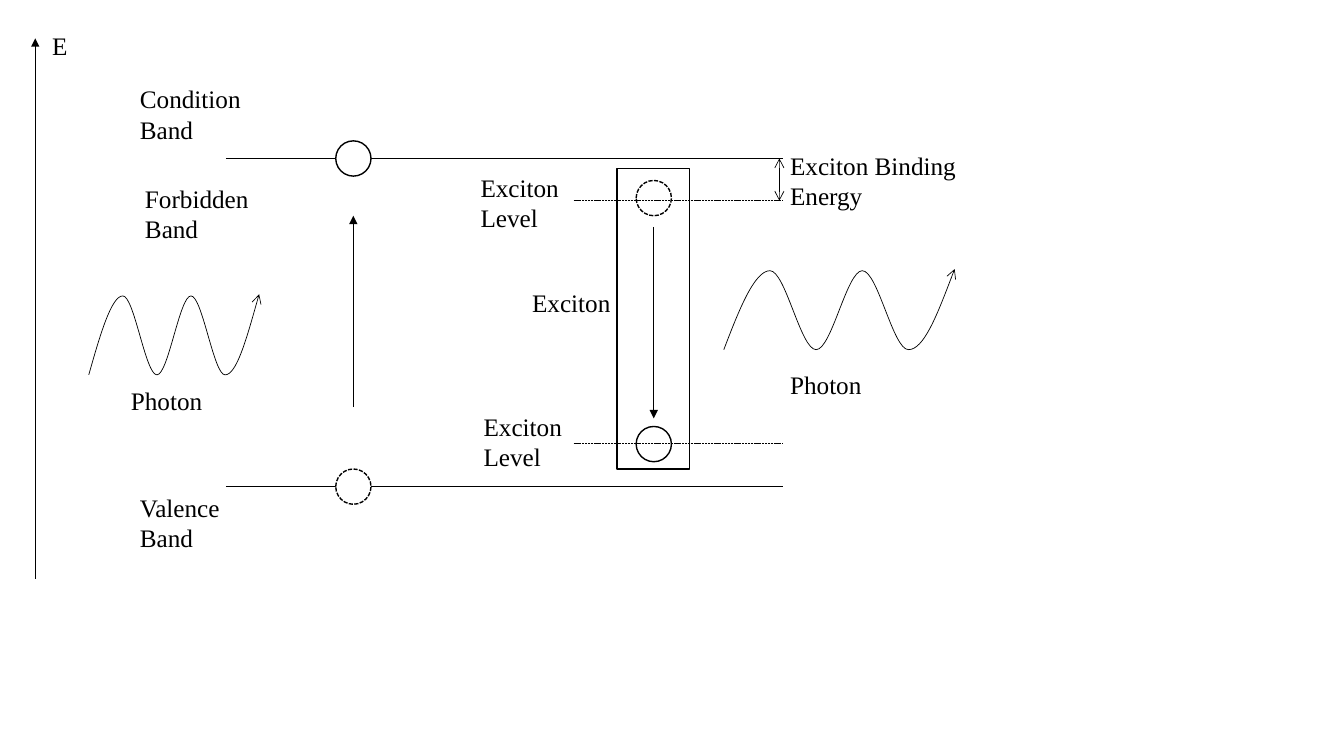
from lxml import etree
from pptx import Presentation
from pptx.dml.color import RGBColor
from pptx.enum.dml import MSO_LINE
from pptx.enum.shapes import MSO_CONNECTOR, MSO_SHAPE
from pptx.enum.text import MSO_AUTO_SIZE
from pptx.oxml.ns import qn
from pptx.util import Pt

STRAIGHT = MSO_CONNECTOR.STRAIGHT
OVAL, RECT = MSO_SHAPE.OVAL, MSO_SHAPE.RECTANGLE
DASH = MSO_LINE.SQUARE_DOT
FIT = MSO_AUTO_SIZE.SHAPE_TO_FIT_TEXT
BLACK = RGBColor(0, 0, 0)
WHITE = RGBColor(255, 255, 255)

BAND_LEFT, LEVEL_LEFT, RIGHT = 161.3, 409.7, 559.4
CONDUCTION_Y, VALENCE_Y = 113.2, 347.6
UPPER_Y, LOWER_Y = 143.3, 316.8
ELECTRON_X, EXCITON_X = 252.4, 467


def write(tf, text, size=18, font="Times New Roman", color=BLACK):
    r = tf.paragraphs[0].add_run()
    r.text = text
    r.font.size = Pt(size)
    r.font.name = font
    r.font.color.rgb = color


class Diagram:
    thin, thick, diameter = 0.5, 1, 25.2

    def __init__(self, slide):
        self.s = slide

    def stroke(self, sp, width, dashed=False, head=None, tail=None):
        sp.line.color.rgb = BLACK
        sp.line.width = Pt(width)
        if dashed:
            sp.line.dash_style = DASH
        ln = sp.line._get_or_add_ln()
        for tag, kind in (("a:headEnd", head), ("a:tailEnd", tail)):
            if kind:
                etree.SubElement(ln, qn(tag), type=kind)

    def line(self, x1, y1, x2, y2, **style):
        c = self.s.shapes.add_connector(STRAIGHT, Pt(x1), Pt(y1), Pt(x2), Pt(y2))
        self.stroke(c, self.thin, **style)
        etree.SubElement(c._element.spPr, qn("a:effectLst"))

    def shape(self, kind, x, y, w, h, fill=None, dashed=False):
        sp = self.s.shapes.add_shape(kind, Pt(x), Pt(y), Pt(w), Pt(h))
        sp.shadow.inherit = False
        if fill is None:
            sp.fill.background()
        else:
            sp.fill.solid()
            sp.fill.fore_color.rgb = fill
        self.stroke(sp, self.thick, dashed)

    def particle(self, cx, cy, dashed=False):
        d = self.diameter
        self.shape(OVAL, cx - d / 2, cy - d / 2, d, d, WHITE, dashed)

    def label(self, text, x, y, w=100, h=51):
        tb = self.s.shapes.add_textbox(Pt(x), Pt(y), Pt(w), Pt(h))
        tf = tb.text_frame
        tf.word_wrap = True
        tf.auto_size = FIT
        write(tf, text)

    def wave(self, x, y, w, h):
        top, mid, low = y + 1.2, y + h / 2, y + h
        heights = [mid, top, top, top, low, low, low, top, top, top, low, low, low, mid, y]
        points = [(Pt(x + w * i / 15), Pt(v)) for i, v in enumerate(heights, 1)]
        builder = self.s.shapes.build_freeform(Pt(x), Pt(low))
        builder.add_line_segments(points, close=False)
        sp = builder.convert_to_shape()
        sp.shadow.inherit = False
        sp.fill.background()
        self.stroke(sp, self.thin, tail="arrow")
        path = sp._element.find(".//" + qn("a:path"))
        segments = path.findall(qn("a:lnTo"))
        for i in range(0, len(segments), 3):
            curve = etree.SubElement(path, qn("a:cubicBezTo"))
            for segment in segments[i:i + 3]:
                curve.append(segment[0])
                path.remove(segment)


def main():
    prs = Presentation()
    prs.slide_width, prs.slide_height = Pt(960), Pt(540)
    d = Diagram(prs.slides.add_slide(prs.slide_layouts[6]))

    for y in (CONDUCTION_Y, VALENCE_Y):
        d.line(BAND_LEFT, y, RIGHT, y)
    d.particle(ELECTRON_X, VALENCE_Y, dashed=True)
    d.particle(ELECTRON_X, CONDUCTION_Y)
    d.line(ELECTRON_X, 290.9, ELECTRON_X, 154.1, tail="triangle")
    d.particle(EXCITON_X, 141.5, dashed=True)
    d.particle(EXCITON_X, 317.2)
    d.line(EXCITON_X, 162, EXCITON_X, 298.8, tail="triangle")

    d.wave(63.4, 210.2, 121.7, 57.6)
    d.wave(517, 192.2, 164.9, 57.6)
    d.line(25.2, 413.3, 25.2, 27.4, tail="triangle")
    for y in (UPPER_Y, LOWER_Y):
        d.line(LEVEL_LEFT, y, RIGHT, y, dashed=True)
    d.shape(RECT, 440.8, 120.4, 51.8, 214.6)
    d.line(556.7, UPPER_Y, 556.7, CONDUCTION_Y, head="arrow", tail="arrow")

    for text, x, y in (
        ("Condition Band", 92.9, 56.2),
        ("Forbidden Band", 96.5, 127.4),
        ("Valence Band", 92.9, 347.8),
        ("Exciton Level", 338.4, 290.2),
        ("Exciton Level", 336.2, 119.5),
    ):
        d.label(text, x, y)
    for text, x, y in (
        ("E", 30.2, 18),
        ("Exciton", 373, 201.6),
        ("Photon", 86.4, 271.4),
        ("Photon", 557.3, 260.6),
    ):
        d.label(text, x, y, h=29)
    d.label("Exciton Binding Energy", 557.3, 103.7, w=153.4)

    prs.save("out.pptx")


if __name__ == "__main__":
    main()
